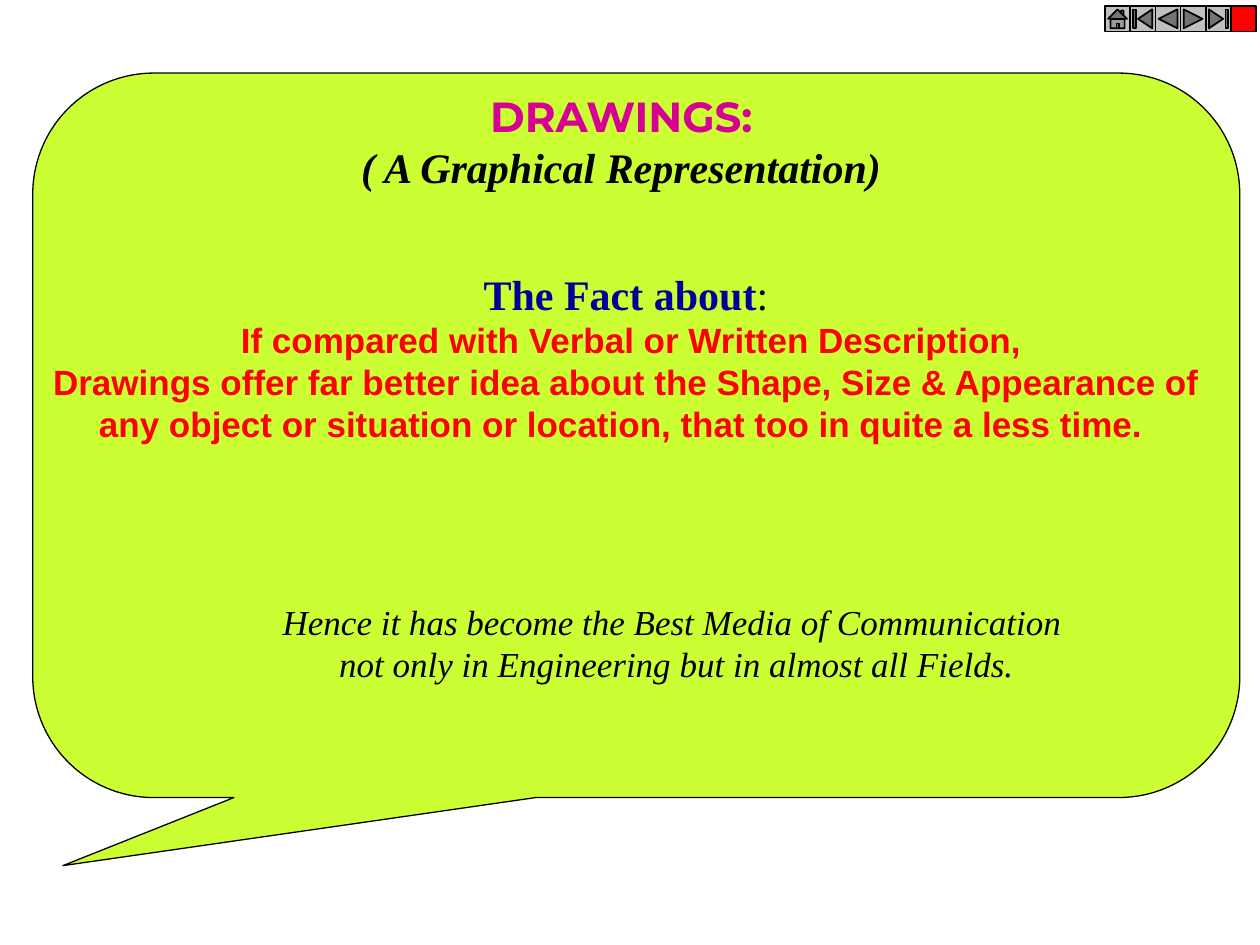
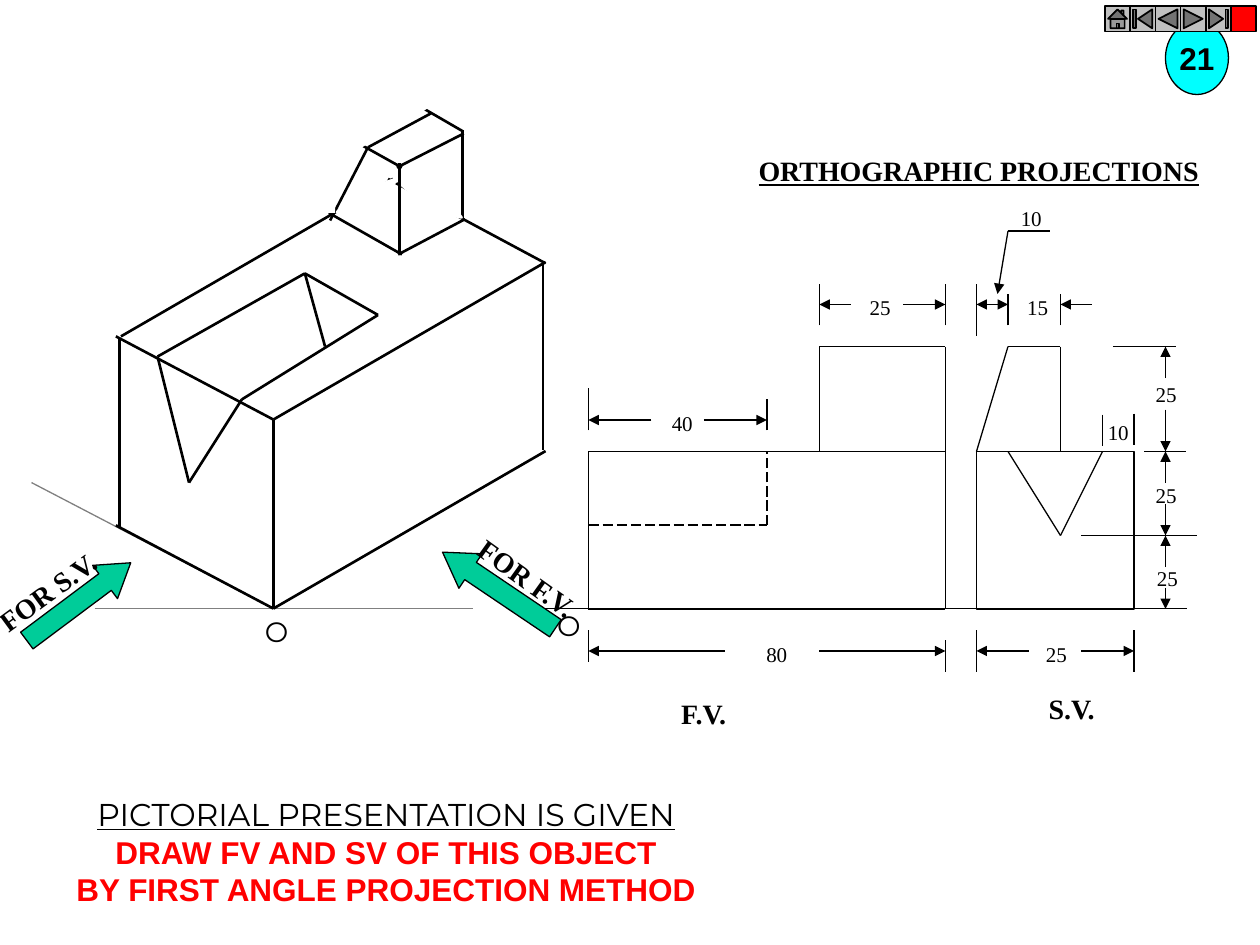
from itertools import pairwise

from lxml.etree import SubElement
from pptx import Presentation
from pptx.dml.color import RGBColor
from pptx.enum.dml import MSO_LINE
from pptx.enum.shapes import MSO_CONNECTOR, MSO_SHAPE
from pptx.enum.text import MSO_ANCHOR, MSO_AUTO_SIZE, PP_ALIGN
from pptx.oxml.ns import qn
from pptx.util import Inches, Pt

COLORS = {
    "black": "000000", "white": "FFFFFF", "grey": "808080", "button": "C0C0C0",
    "red": "FF0000", "magenta": "D60093", "navy": "000099",
    "lime": "CCFF33", "green": "00CC99", "cyan": "00FFFF",
}
SERIF, SANS, DISPLAY = "Times New Roman", "Arial", "Montserrat"
UNIT = 1 / 12  # drawing grid of both orthographic views, in inches


def rgb(name):
    return RGBColor.from_string(COLORS[name])


# ---------- shared helpers ----------
def style_font(font, size, face, color="black", marks=""):
    """Marks: b bold, i italic, u underline."""
    font.size, font.name = Pt(size), face
    font.color.rgb = rgb(color)
    font.bold, font.italic, font.underline = ("b" in marks, "i" in marks, "u" in marks)


def write(box, rows, align=PP_ALIGN.CENTER, anchor=MSO_ANCHOR.TOP):
    """Each row is a text followed by the arguments of style_font."""
    frame = box.text_frame
    frame.word_wrap = False
    frame.auto_size = MSO_AUTO_SIZE.NONE
    frame.vertical_anchor = anchor
    for index, (text, *style) in enumerate(rows):
        para = frame.add_paragraph() if index else frame.paragraphs[0]
        para.alignment = align
        para.add_run().text = text
        style_font(para.font, *style)
    return frame


def add_text(page, place, rows, align=PP_ALIGN.CENTER, rotation=0):
    box = page.shapes.add_textbox(*map(Inches, place))
    box.rotation = rotation
    return write(box, rows, align)


def set_title(page, place, rows, align=PP_ALIGN.CENTER):
    title = page.shapes.title
    title.left, title.top, title.width, title.height = map(Inches, place)
    title.element.getparent().append(title.element)  # bring to front
    write(title, rows, align)


def add_shape(page, kind, place, fill, line=0.75, rotation=0):
    shape = page.shapes.add_shape(kind, *map(Inches, place))
    shape.shadow.inherit = False
    shape.rotation = rotation
    shape.fill.solid()
    shape.fill.fore_color.rgb = rgb(fill)
    if line:
        shape.line.color.rgb = rgb("black")
        shape.line.width = Pt(line)
    else:
        shape.line.fill.background()
    return shape


def add_lines(page, origin, points, unit=1, color="black", width=0.75, dash=None, ends=()):
    """Join successive points, measured in units from the origin."""
    left, top = origin
    for (x1, y1), (x2, y2) in pairwise(points):
        line = page.shapes.add_connector(
            MSO_CONNECTOR.STRAIGHT,
            Inches(left + x1 * unit), Inches(top + y1 * unit),
            Inches(left + x2 * unit), Inches(top + y2 * unit))
        line.line.color.rgb = rgb(color)
        line.line.width = Pt(width)
        if dash:
            line.line.dash_style = dash
        properties = line.element.spPr
        for end in ends:
            SubElement(properties.find(qn("a:ln")), qn(f"a:{end}"), type="triangle")
        SubElement(properties, qn("a:effectLst"))


def add_labels(page, origin, labels):
    """Dimension figures at offsets from the origin."""
    for text, x, y in labels:
        add_text(page, (origin[0] + x, origin[1] + y, 0.37, 0.3), [(text, 12, SERIF)])


def add_corner_mark(page, left, top):
    add_text(page, (left, top, 0.39, 0.37), [("O", 16, DISPLAY)])


def add_navigation(page, left=8.77, top=0.05, size=0.2):
    buttons = [
        MSO_SHAPE.ACTION_BUTTON_HOME, MSO_SHAPE.ACTION_BUTTON_BEGINNING,
        MSO_SHAPE.ACTION_BUTTON_BACK_OR_PREVIOUS, MSO_SHAPE.ACTION_BUTTON_FORWARD_OR_NEXT,
        MSO_SHAPE.ACTION_BUTTON_END, MSO_SHAPE.ACTION_BUTTON_CUSTOM,
    ]
    for index, kind in enumerate(buttons):
        fill = "red" if kind == MSO_SHAPE.ACTION_BUTTON_CUSTOM else "button"
        add_shape(page, kind, (left + index * size, top, size, size), fill, 1)


# ---------- slide 1: callout ----------
def add_callout(page, left, top, width, height):
    callout = add_shape(page, MSO_SHAPE.ROUNDED_RECTANGULAR_CALLOUT,
                        (left, top, width, height), "lime")
    for index, value in enumerate((-0.475, 0.594, 0.167)):
        callout.adjustments[index] = value

    set_title(page, (left + 2.49, top + 0.09, 4.36, 0.9), [
        ("DRAWINGS:", 24, DISPLAY, "magenta", "b"),
        ("( A Graphical Representation)", 24, SERIF, "black", "bi"),
    ])

    claim = (20, SANS, "red", "b")
    frame = add_text(page, (left + 0.07, top + 1.5, 9.36, 1.5), [
        ("The Fact about", 24, SERIF, "navy", "b"),
        ("If compared with Verbal or Written Description,", *claim),
        ("Drawings offer far better idea about the Shape, Size & Appearance of ", *claim),
        ("any object or situation or location, that too in quite a less time.", *claim),
    ])
    colon = frame.paragraphs[0].add_run()
    colon.text = ": "
    style_font(colon.font, 24, SERIF)
    last = frame.paragraphs[-1]
    last._p.get_or_add_pPr().set("marR", str(Inches(0.16)))

    add_text(page, (left + 1.89, top + 4.14, 6.44, 0.77), [
        ("Hence it has become the Best Media of Communication ", 20, SERIF, "black", "i"),
        ("not only in Engineering but in almost all Fields.", 20, SERIF, "black", "i"),
    ])


# ---------- slide 2: pictorial view ----------
def add_pictorial_view(page, left, top):
    origin = (left, top)
    corner, ridge, groove = (1.92, 4.08), (1.92, 2.58), (1, 2.08)

    # Guide lines through the near corner
    for points in ([(0.5, 4.08), (3.5, 4.08)], [corner, (3.92, 2.92)], [corner, (0, 3.08)]):
        add_lines(page, origin, points, color="grey")

    body = [
        [corner, ridge, (4.08, 1.33)], [corner, (4.08, 2.83)],
        [(4.06, 2.82), (4.06, 1.32)], [ridge, (0.67, 1.92)],
        [(0.7, 3.43), (0.7, 1.93)], [(0.71, 1.92), (2.87, 0.67)],
        [(4.08, 1.34), (2.83, 0.67)], [corner, (0.67, 3.42)],
    ]
    slot = [
        [groove, (1.25, 3.08), (1.67, 2.42), (2.75, 1.75), (2.17, 1.42), groove],
        [(2.17, 1.42), (2.33, 2)],
    ]
    block = [
        [(3.44, 0.99), (2.91, 1.27)], [(2.36, 0.94), (2.94, 1.27)],
        [(3.42, 0.99), (3.42, 0.28)], [(3.43, 0.31), (2.9, 0.58)],
        [(2.42, 0.29), (2.94, 0.58)], [(2.92, 0), (3.42, 0.29)],
        [(2.37, 1), (2.67, 0.42), (3.17, 0.15)],
    ]
    for points in body + slot + block:
        add_lines(page, origin, points, width=1.5)
    for points in ([(2.39, 0.96), (2.39, 0.25)], [(2.93, 0), (2.39, 0.28)]):
        add_lines(page, origin, points)

    # White patches over the hidden edges
    patches = [
        (MSO_SHAPE.OVAL, 2.38, 0.76, 0.58, 0.08, 331.5),
        (MSO_SHAPE.OVAL, 2.88, 0.8, 0.58, 0.08, 29.1),
        (MSO_SHAPE.RECTANGLE, 2.22, 0.03, 0.92, 0.33, 329.3),
        (MSO_SHAPE.RECTANGLE, 2.33, 0.52, 0.08, 0.42, 0),
    ]
    for kind, x, y, width, height, rotation in patches:
        add_shape(page, kind, (left + x, top + y, width, height), "white", 0, rotation)
    add_lines(page, origin, [(2.92, 1.25), (2.92, 0.54)], width=1.5)
    add_corner_mark(page, left + 1.75, top + 4.08)


def add_direction(page, text, arrow_place, arrow_turn, head, text_place, text_turn):
    arrow = add_shape(page, MSO_SHAPE.LEFT_ARROW, arrow_place, "green", rotation=arrow_turn)
    arrow.adjustments[1] = head
    add_text(page, text_place, [(text, 16, SERIF, "black", "b")], PP_ALIGN.LEFT, text_turn)


# ---------- slide 2: orthographic views ----------
def add_view(page, origin, edges, extensions, arrows, labels, name, name_place):
    for points in edges + extensions:
        add_lines(page, origin, points, UNIT)
    for points in arrows:
        add_lines(page, origin, points, UNIT, ends=["tailEnd"])
    add_labels(page, origin, labels)
    x, y = name_place
    add_text(page, (origin[0] + x, origin[1] + y, 0.61, 0.37),
             [(name, 16, SERIF, "black", "b")])


def add_front_view(page, left, top):
    origin = (left, top)
    add_view(
        page, origin,
        edges=[[(0, 10), (0, 25), (34, 25), (34, 0), (22, 0), (22, 10)], [(0, 10), (34, 10)]],
        extensions=[
            [(0, 8), (0, 4)], [(17, 8), (17, 5)], [(22, -2), (22, -6)],
            [(34, -2), (34, -6)], [(34, 28), (34, 31)], [(0, 27), (0, 30)],
        ],
        arrows=[
            [(6, 7), (0, 7)], [(11, 7), (17, 7)], [(25, -4), (22, -4)],
            [(30, -4), (34, -4)], [(13, 29), (0, 29)], [(22, 29), (34, 29)],
        ],
        labels=[("40", 0.56, 0.46), ("25", 2.13, -0.46), ("80", 1.31, 2.29)],
        name="F.V.", name_place=(0.61, 2.73))
    add_lines(page, origin, [(0, 17), (17, 17), (17, 10)], UNIT, dash=MSO_LINE.LONG_DASH)
    add_corner_mark(page, left - 0.35, top + 2.03)


def add_side_view(page, left, top):
    origin = (left, top)
    add_shape(page, MSO_SHAPE.RECTANGLE, (left, top + 10 * UNIT, 1.25, 1.25), "white")
    add_view(
        page, origin,
        edges=[[(0, 10), (3, 0), (8, 0), (8, 10)], [(3, 10), (8, 18), (12, 10)]],
        extensions=[
            [(8, -2), (8, -5)], [(3, -2), (3, -5)], [(0, -1), (0, -6)],
            [(13, 0), (19, 0)], [(16, 10), (20, 10)], [(10, 18), (21, 18)],
            [(0, 27), (0, 31)], [(15, 27), (15, 31)], [(12, 6.5), (12, 9.5)],
            [(15, 6.4), (15, 9.4)], [(3, -11), (7, -11)],
        ],
        arrows=[
            [(11, -4), (8, -4)], [(5, 29), (0, 29)], [(10, 29), (15, 29)],
            [(18, 3), (18, 0)], [(18, 6), (18, 10)], [(18, 13), (18, 10)],
            [(18, 15), (18, 18)], [(18, 21), (18, 18)], [(18, 23), (18, 25)],
            [(3, -11), (2, -5)],
        ],
        labels=[
            ("10", 0.25, -1.17), ("15", 0.3, -0.46), ("10", 0.94, 0.53),
            ("25", 1.32, 0.23), ("25", 1.32, 1.03), ("25", 1.33, 1.69), ("25", 0.45, 2.29),
        ],
        name="S.V.", name_place=(0.45, 2.69))
    add_lines(page, origin, [(0, -4), (3, -4)], UNIT, ends=["headEnd", "tailEnd"])


def add_task(page, left, top):
    order = (18, SANS, "red", "b")
    add_text(page, (left, top, 5.33, 1), [
        ("PICTORIAL PRESENTATION IS GIVEN", 18, DISPLAY, "black", "u"),
        ("DRAW FV AND SV OF THIS OBJECT", *order),
        ("BY FIRST ANGLE PROJECTION METHOD", *order),
    ])


def build_projection_slide(page):
    add_pictorial_view(page, 0.25, 0.75)
    add_lines(page, (4.25, 4.83), [(0, 0), (5.17, 0)])  # ground line
    add_front_view(page, 4.67, 2.75)
    add_side_view(page, 7.75, 2.75)
    add_direction(page, "FOR S.V.", (0.11, 4.61, 1.03, 0.33), 143.2, 0.771,
                  (-0.17, 4.5, 1.12, 0.37), 323.8)
    add_direction(page, "FOR F.V.", (3.42, 4.52, 1.08, 0.33), 34, 0.812,
                  (3.64, 4.42, 1.13, 0.37), 35.6)
    add_task(page, 0.4, 6.26)
    badge = add_shape(page, MSO_SHAPE.OVAL, (9.25, 0.17, 0.5, 0.58), "cyan")
    write(badge, [("21", 18, SANS, "black", "b")], anchor=MSO_ANCHOR.MIDDLE)
    set_title(page, (5.92, 1.17, 3.71, 0.37),
              [("ORTHOGRAPHIC PROJECTIONS", 16, SERIF, "black", "bu")], PP_ALIGN.LEFT)


def main():
    deck = Presentation()
    deck.slide_width, deck.slide_height = Inches(10), Inches(7.5)
    title_only = deck.slide_layouts[5]

    drawings = deck.slides.add_slide(title_only)
    add_callout(drawings, 0.26, 0.58, 9.58, 5.75)
    add_navigation(drawings)

    projections = deck.slides.add_slide(title_only)
    build_projection_slide(projections)
    add_navigation(projections)

    deck.save("out.pptx")


if __name__ == "__main__":
    main()
